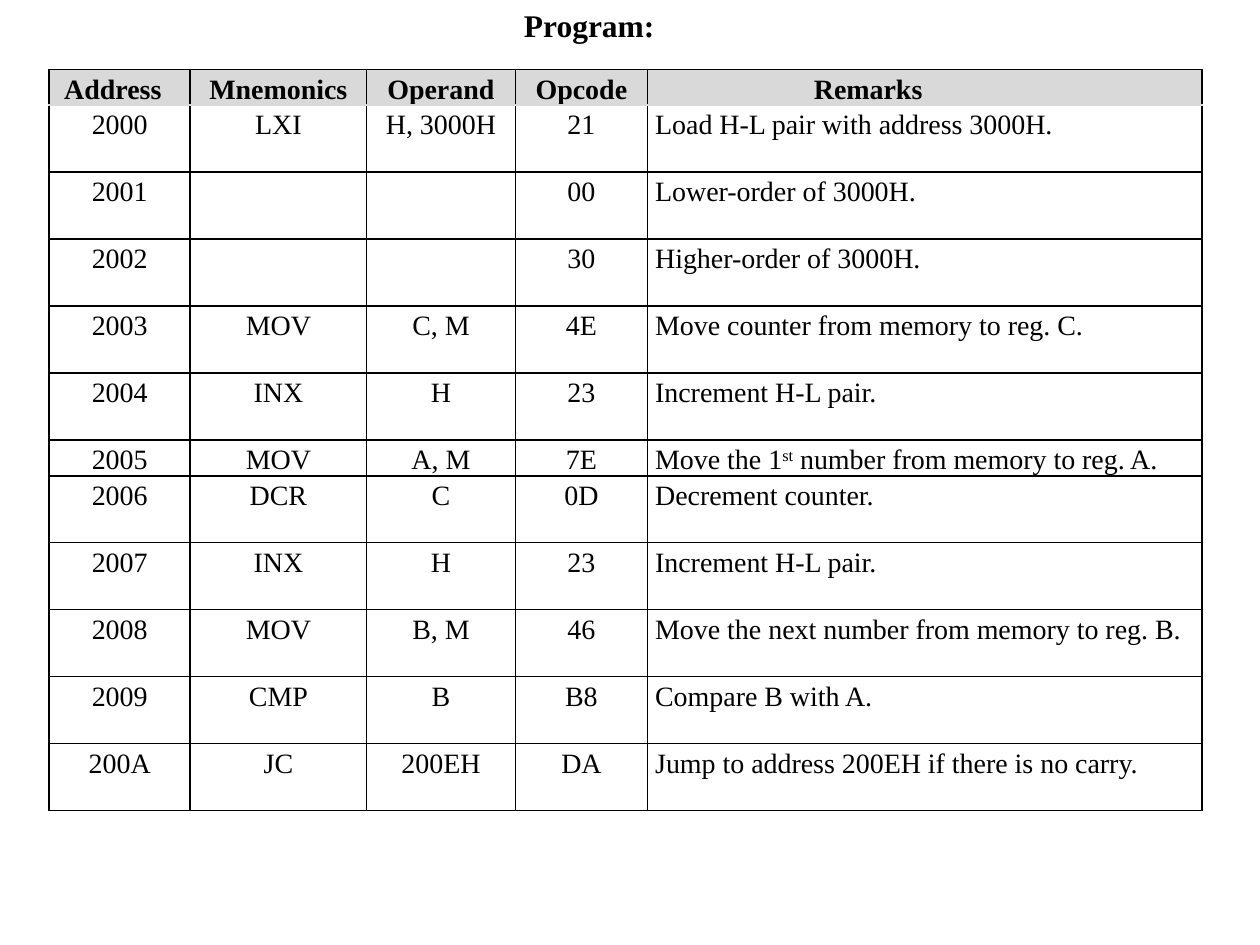
from dataclasses import dataclass

from lxml.etree import SubElement
from pptx import Presentation
from pptx.dml.color import RGBColor
from pptx.enum.text import MSO_ANCHOR, MSO_AUTO_SIZE, PP_ALIGN
from pptx.oxml.ns import qn
from pptx.util import Inches, Pt


@dataclass(frozen=True)
class Theme:
    font: str = "Times New Roman"
    ink: str = "000000"
    header: str = "D9D9D9"
    title_size: int = 18
    body_size: int = 16
    spacing: float = 1.15


THEME = Theme()
COLUMNS = (1.12, 1.4, 1.18, 1.05, 4.4)
ENTRY_HEIGHT, GAP_HEIGHT = 0.28, 0.24
REMARK = 4
HEADINGS = ("Address", "Mnemonics", "Operand", "Opcode", "Remarks")
HEADING_INDENTS = {0: 0.12, REMARK: 1.32}
ENTRY_INDENTS = {REMARK: 0.06}
UNSPACED = "2005"
PROGRAM = (
    ("2000", "LXI", "H, 3000H", "21", "Load H-L pair with address 3000H."),
    ("2001", "", "", "00", "Lower-order of 3000H."),
    ("2002", "", "", "30", "Higher-order of 3000H."),
    ("2003", "MOV", "C, M", "4E", "Move counter from memory to reg. C."),
    ("2004", "INX", "H", "23", "Increment H-L pair."),
    ("2005", "MOV", "A, M", "7E", ("Move the 1", "st", " number from memory to reg. A.")),
    ("2006", "DCR", "C", "0D", "Decrement counter."),
    ("2007", "INX", "H", "23", "Increment H-L pair."),
    ("2008", "MOV", "B, M", "46", "Move the next number from memory to reg. B."),
    ("2009", "CMP", "B", "B8", "Compare B with A."),
    ("200A", "JC", "200EH", "DA", "Jump to address 200EH if there is no carry."),
)


def add_run(p, text, size, bold=False):
    r = p.add_run()
    r.text = text
    r.font.name = THEME.font
    r.font.size = Pt(size)
    r.font.bold = bold
    r.font.color.rgb = RGBColor.from_string(THEME.ink)
    return r


def set_borders(cell, top, bottom):
    tc_pr = cell._tc.get_or_add_tcPr()
    edges = {"lnL": THEME.ink, "lnR": THEME.ink, "lnT": top, "lnB": bottom}
    for tag, color in edges.items():
        line = SubElement(tc_pr, qn(f"a:{tag}"), w=str(Pt(1)))
        if color:
            fill = SubElement(line, qn("a:solidFill"))
            SubElement(fill, qn("a:srgbClr"), val=color)
        else:
            SubElement(line, qn("a:noFill"))


def write_cell(cell, content, indent, bold):
    p = cell.text_frame.paragraphs[0]
    if not content:
        end = p._p.get_or_add_endParaRPr()
        end.set("sz", str(THEME.body_size * 100))
        SubElement(end, qn("a:latin"), typeface=THEME.font)
        return
    p.line_spacing = THEME.spacing
    if indent:
        cell.margin_left = Inches(indent)
    else:
        p.alignment = PP_ALIGN.CENTER
    if isinstance(content, str):
        add_run(p, content, THEME.body_size, bold)
        return
    p.line_spacing = Pt(17.4)
    for i, text in enumerate(content):
        r = add_run(p, text, THEME.body_size, bold)
        if i % 2:
            r.font._element.set("baseline", "30000")


def fill_row(row, contents, height, top, bottom, indents, header=False):
    row.height = Inches(height)
    for col, cell in enumerate(row.cells):
        cell.margin_left = cell.margin_right = 0
        cell.margin_top = cell.margin_bottom = 0
        cell.vertical_anchor = MSO_ANCHOR.BOTTOM
        set_borders(cell, top, bottom)
        if header:
            cell.fill.solid()
            cell.fill.fore_color.rgb = RGBColor.from_string(THEME.header)
        else:
            cell.fill.background()
        write_cell(cell, contents[col], indents.get(col), header)


def add_program_table(slide, left, top):
    ink = THEME.ink
    rows = [(HEADINGS, ENTRY_HEIGHT, ink, THEME.header, HEADING_INDENTS, True)]
    for entry in PROGRAM:
        spaced = entry[0] != UNSPACED
        upper = THEME.header if entry is PROGRAM[0] else ink
        lower = None if spaced else ink
        rows.append((entry, ENTRY_HEIGHT, upper, lower, ENTRY_INDENTS))
        if spaced:
            rows.append(([""] * len(COLUMNS), GAP_HEIGHT, None, ink, {}))
    height = sum(row[1] for row in rows)
    frame = slide.shapes.add_table(
        len(rows), len(COLUMNS), Inches(left), Inches(top),
        Inches(sum(COLUMNS)), Inches(height))
    table = frame.table
    table.first_row = table.horz_banding = False
    for column, width in zip(table.columns, COLUMNS):
        column.width = Inches(width)
    for row, spec_values in zip(table.rows, rows):
        fill_row(row, *spec_values)


def add_title(slide, left, top, width, height):
    s = slide.shapes.add_textbox(Inches(left), Inches(top), Inches(width), Inches(height))
    tf = s.text_frame
    tf.word_wrap = False
    tf.auto_size = MSO_AUTO_SIZE.SHAPE_TO_FIT_TEXT
    tf.vertical_anchor = MSO_ANCHOR.MIDDLE
    add_run(tf.paragraphs[0], "Program:", THEME.title_size, True)


def main():
    prs = Presentation()
    prs.slide_width, prs.slide_height = Inches(10), Inches(7.5)
    slide = prs.slides.add_slide(prs.slide_layouts[6])
    add_program_table(slide, 0.39, 0.55)
    add_title(slide, 4.06, 0, 1.25, 0.4)
    prs.save("out.pptx")


if __name__ == "__main__":
    main()
